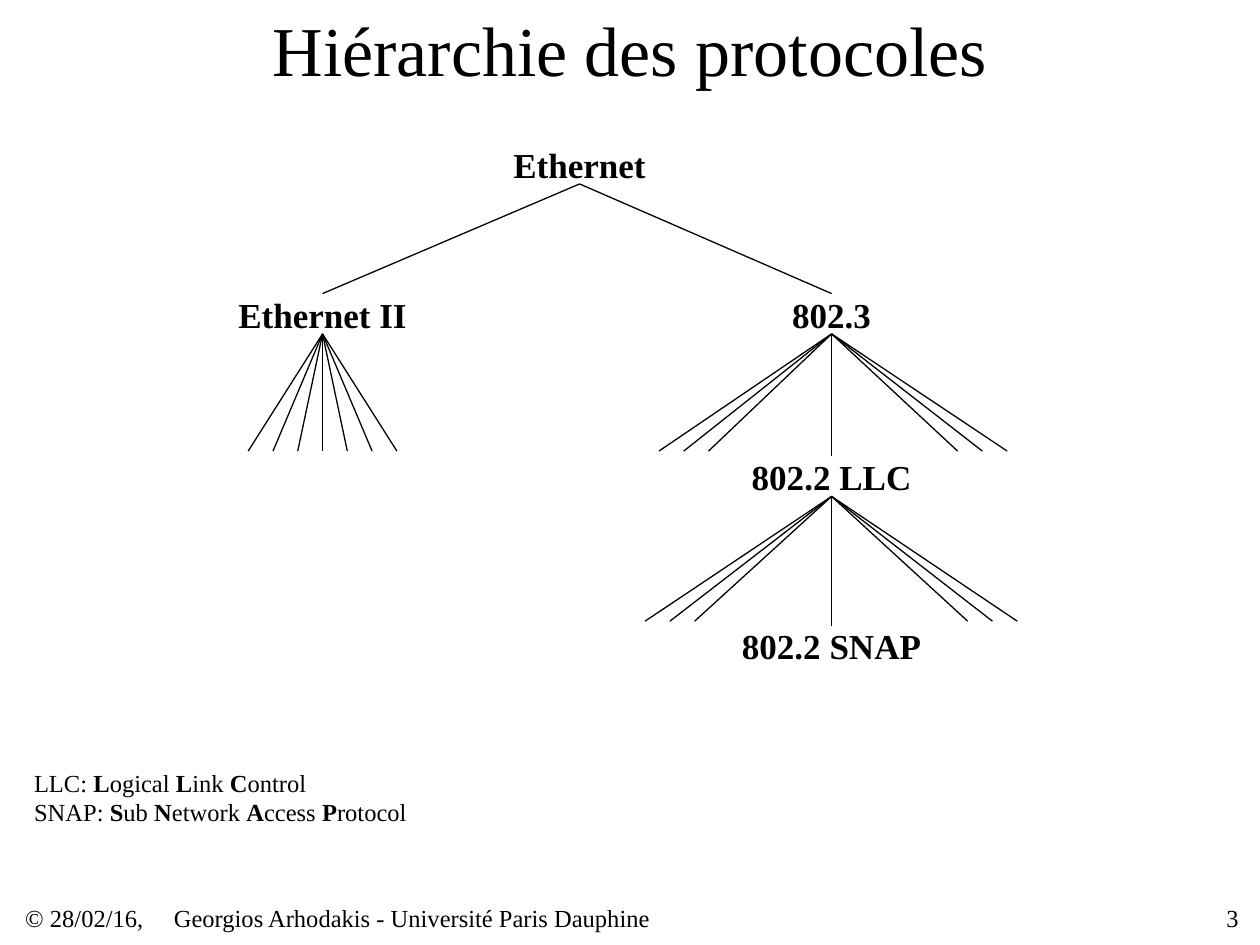
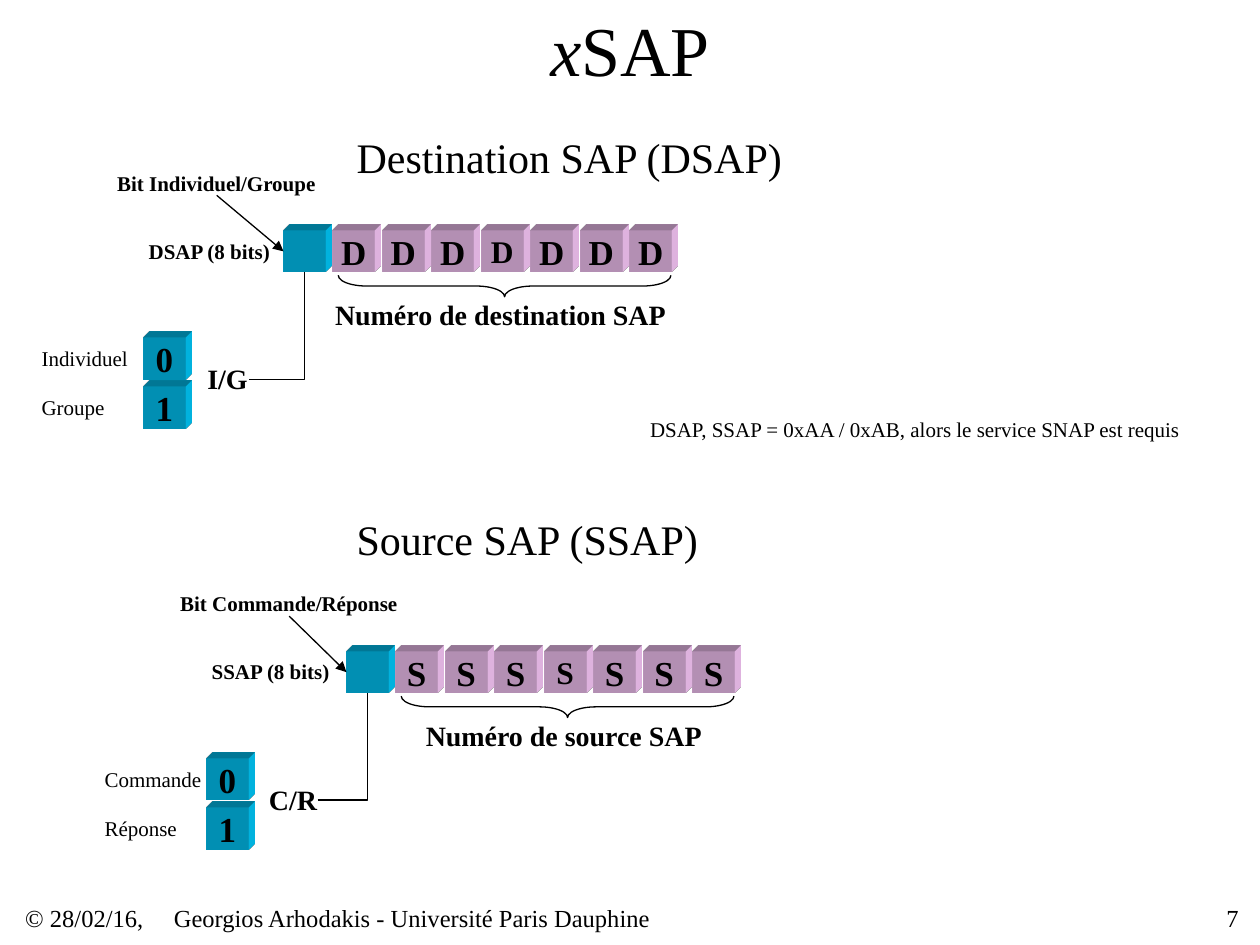
"""Build two slides on Ethernet protocol layers and SAP address bits."""
from dataclasses import dataclass

from lxml import etree
from pptx import Presentation
from pptx.dml.color import RGBColor
from pptx.enum.shapes import MSO_CONNECTOR, MSO_SHAPE
from pptx.enum.text import MSO_ANCHOR, PP_ALIGN
from pptx.oxml.ns import qn
from pptx.util import Inches, Pt

LEFT, CENTER, RIGHT = PP_ALIGN.LEFT, PP_ALIGN.CENTER, PP_ALIGN.RIGHT
MIDDLE = MSO_ANCHOR.MIDDLE
STRAIGHT, ELBOW = MSO_CONNECTOR.STRAIGHT, MSO_CONNECTOR.ELBOW
RECTANGLE, LEFT_BRACE = MSO_SHAPE.RECTANGLE, MSO_SHAPE.LEFT_BRACE
BOLD = {"bold": True}
ITALIC = {"italic": True}
TITLE_ONLY = 5


@dataclass(frozen=True)
class Theme:
    """Colours as hex values, sizes in points."""
    font: str = "Times New Roman"
    ink: str = "000000"
    blue: str = "00CCFF"
    pink: str = "FFCCFF"
    title: int = 40
    heading: int = 24
    node: int = 20
    small_bit: int = 18
    caption: int = 16
    footer: int = 14
    note: int = 12
    line: float = 0.75


THEME = Theme()
NODE_HEIGHT = 0.31
FAN_STEP = 0.59 / 3
BIT_SIDE = 0.33
BIT_DEPTH = Pt(10)
BIT_PITCH = 2.75 / 7


def write_text(frame, paragraphs, size, align=LEFT, wrap=True, **style):
    """Fill a text frame with paragraphs, each a list of (text, style) runs."""
    frame.word_wrap = wrap
    frame.vertical_anchor = MIDDLE
    for index, runs in enumerate(paragraphs):
        paragraph = frame.add_paragraph() if index else frame.paragraphs[0]
        paragraph.alignment = align
        for text, run_style in runs:
            run = paragraph.add_run()
            run.text = text
            values = {"name": THEME.font, "size": Pt(size), **style, **run_style}
            for name, value in values.items():
                setattr(run.font, name, value)
            run.font.color.rgb = RGBColor.from_string(THEME.ink)


def add_text(slide, box, paragraphs, size, **options):
    """Add a text box without margins; a plain string makes one paragraph."""
    if isinstance(paragraphs, str):
        paragraphs = [[(paragraphs, {})]]
    frame = slide.shapes.add_textbox(*map(Inches, box)).text_frame
    for side in ("left", "right", "top", "bottom"):
        setattr(frame, f"margin_{side}", 0)
    write_text(frame, paragraphs, size, **options)


def set_line(shape):
    """Give a shape or connector the thin black line."""
    shape.line.color.rgb = RGBColor.from_string(THEME.ink)
    shape.line.width = Pt(THEME.line)


def add_line(slide, start, end, kind=STRAIGHT, arrow=False):
    """Draw a connector, with an arrowhead at its end if asked."""
    connector = slide.shapes.add_connector(kind, *map(Inches, (*start, *end)))
    set_line(connector)
    properties = connector._element.spPr
    if kind == ELBOW:
        properties.find(qn("a:prstGeom")).set("prst", "bentConnector2")
    if arrow:
        outline = properties.find(qn("a:ln"))
        etree.SubElement(outline, qn("a:tailEnd"), type="triangle")
    etree.SubElement(properties, qn("a:effectLst"))


def extrude(shape, color):
    """Give a shape depth towards its upper right."""
    properties = shape._element.spPr
    scene = etree.SubElement(properties, qn("a:scene3d"))
    etree.SubElement(scene, qn("a:camera"), prst="legacyObliqueTopRight")
    etree.SubElement(scene, qn("a:lightRig"), rig="legacyFlat3", dir="b")
    solid = etree.SubElement(properties, qn("a:sp3d"),
                             extrusionH=str(BIT_DEPTH), prstMaterial="legacyMatte")
    for bevel in ("a:bevelT", "a:bevelB"):
        etree.SubElement(solid, qn(bevel), w="13500", h="13500", prst="angle")
    extrusion = etree.SubElement(solid, qn("a:extrusionClr"))
    etree.SubElement(extrusion, qn("a:srgbClr"), val=color)


def add_bit(slide, left, top, color, text="", size=THEME.node):
    """Draw a bit as an extruded square."""
    bit = slide.shapes.add_shape(
        RECTANGLE, *map(Inches, (left, top, BIT_SIDE, BIT_SIDE)))
    bit.shadow.inherit = False
    bit.fill.solid()
    bit.fill.fore_color.rgb = RGBColor.from_string(color)
    bit.line.fill.background()
    extrude(bit, color)
    if text:
        write_text(bit.text_frame, [[(text, {})]], size,
                   align=CENTER, wrap=False, bold=True)


def add_brace(slide, left, top, width, height):
    """Draw a brace lying under a row of bits."""
    brace = slide.shapes.add_shape(
        LEFT_BRACE, *map(Inches, (left, top, width, height)))
    brace.rotation = 270
    brace.adjustments[0] = 1.32
    brace.shadow.inherit = False
    brace.fill.background()
    set_line(brace)


def add_slide(presentation, title_runs, number):
    """Add a slide with its title and footer."""
    slide = presentation.slides.add_slide(presentation.slide_layouts[TITLE_ONLY])
    title = slide.shapes.title
    box = {"left": 0.75, "top": 0, "width": 8.5, "height": 0.77}
    for name, value in box.items():
        setattr(title, name, Inches(value))
    write_text(title.text_frame, [title_runs], THEME.title, align=CENTER)
    footers = [
        (0.2, 1.18, "© 28/02/16,", LEFT),
        (1.38, 5.9, "Georgios Arhodakis - Université Paris Dauphine", LEFT),
        (7.75, 2.08, str(number), RIGHT),
    ]
    for left, width, text, align in footers:
        add_text(slide, (left, 7.16, width, 0.24), text, THEME.footer, align=align)
    return slide


def add_node(slide, center, top, width, text):
    """Write a protocol name and return the point below it."""
    add_text(slide, (center - width / 2, top, width, NODE_HEIGHT), text,
             THEME.node, align=CENTER, bold=True)
    return center, top + NODE_HEIGHT


def add_fan(slide, apex, bottom, starts, count):
    """Draw groups of evenly spread branches from one point."""
    for start in starts:
        for index in range(count):
            add_line(slide, apex, (apex[0] + start + index * FAN_STEP, bottom))


def spell_out(acronym, words):
    """Return runs that explain an acronym with bold initials."""
    runs = [(f"{acronym}: ", {})]
    for index, word in enumerate(words):
        space = " " if index < len(words) - 1 else ""
        runs += [(word[0], BOLD), (word[1:] + space, {})]
    return runs


def build_hierarchy(presentation):
    """Build the protocol tree."""
    slide = add_slide(presentation, [("Hiérarchie des protocoles", {})], 3)
    ethernet = add_node(slide, 4.6, 1.15, 1.06, "Ethernet")
    ethernet_two = add_node(slide, 2.56, 2.34, 1.34, "Ethernet II")
    ieee = add_node(slide, 6.6, 2.34, 0.63, "802.3")
    llc = add_node(slide, 6.6, 3.63, 1.3, "802.2 LLC")
    add_node(slide, 6.6, 4.97, 1.46, "802.2 SNAP")
    for start, end in [(ethernet, (2.56, 2.33)), (ethernet, (6.6, 2.33)),
                       (ieee, (6.6, 3.62)), (llc, (6.6, 4.97))]:
        add_line(slide, start, end)
    add_fan(slide, ethernet_two, 3.58, [-0.59], 7)
    add_fan(slide, ieee, 3.58, [-1.37, 1], 3)
    add_fan(slide, llc, 4.93, [-1.48, 1.08], 3)
    add_text(slide, (0.27, 6.09, 2.98, 0.47), [
        spell_out("LLC", ["Logical", "Link", "Control"]),
        spell_out("SNAP", ["Sub", "Network", "Access", "Protocol"]),
    ], THEME.footer)


def add_address(slide, left, top, letter, field, number_name, number_width,
                flag_name, flag_width, flag, flag_label_width, meanings):
    """Draw an address: flag bit, number bits, and the flag's meanings."""
    add_bit(slide, left, top, THEME.blue)
    for index in range(1, 8):
        size = THEME.small_bit if index == 4 else THEME.node
        add_bit(slide, left + index * BIT_PITCH, top, THEME.pink, letter, size)
    add_text(slide, (left - 1.07, top - 0.04, 0.98, 0.4), field,
             THEME.note, bold=True)
    add_brace(slide, left + 1.67, top - 0.88, 0.17, 2.64)
    add_text(slide, (left + 1.73 - number_width / 2, top + 0.53, number_width, 0.27),
             number_name, THEME.caption, bold=True)

    flag_left = left - 1.32
    add_text(slide, (flag_left, top - 0.48, flag_width, 0.2), flag_name,
             THEME.note, bold=True)
    add_line(slide, (flag_left + flag_width / 2, top - 0.28),
             (left, top + BIT_SIDE / 2), arrow=True)

    label_left, label_top = left - 0.62, top + 1.04
    add_text(slide, (label_left, label_top, flag_label_width, 0.27), flag,
             THEME.caption, align=CENTER, bold=True)
    meaning_tops = [top + 0.85 + value * BIT_PITCH for value in range(2)]
    for value, bit_top in enumerate(meaning_tops):
        add_bit(slide, left - 1.11, bit_top, THEME.blue, str(value))
    for bit_top, (meaning, width) in zip(meaning_tops, meanings):
        add_text(slide, (left - 1.92, bit_top + 0.06, width, 0.2),
                 meaning, THEME.note)
    add_line(slide, (label_left + flag_label_width, label_top + 0.14),
             (left + BIT_SIDE / 2, top + BIT_SIDE), kind=ELBOW)


def build_sap(presentation):
    """Build the destination and source address diagrams."""
    slide = add_slide(presentation, [("x", ITALIC), ("SAP", {})], 7)
    add_address(slide, 2.25, 1.83, "D", "DSAP (8 bits)",
                "Numéro de destination SAP", 2.64,
                "Bit Individuel/Groupe", 1.58, "I/G", 0.35,
                [("Individuel", 0.71), ("Groupe", 0.59)])
    add_address(slide, 2.75, 5.17, "S", "SSAP (8 bits)",
                "Numéro de source SAP", 2.2,
                "Bit Commande/Réponse", 1.73, "C/R", 0.39,
                [("Commande", 0.79), ("Réponse", 0.59)])
    add_text(slide, (2.83, 1.05, 3.42, 0.39), "Destination SAP (DSAP)", THEME.heading)
    add_text(slide, (2.83, 4.08, 2.76, 0.39), "Source SAP (SSAP)", THEME.heading)
    add_text(slide, (5.16, 3.31, 4.33, 0.2),
             "DSAP, SSAP = 0xAA / 0xAB, alors le service SNAP est requis",
             THEME.note)


def main():
    """Create and save the presentation."""
    presentation = Presentation()
    presentation.slide_width = Inches(10)
    presentation.slide_height = Inches(7.5)
    build_hierarchy(presentation)
    build_sap(presentation)
    presentation.save("out.pptx")


if __name__ == "__main__":
    main()
